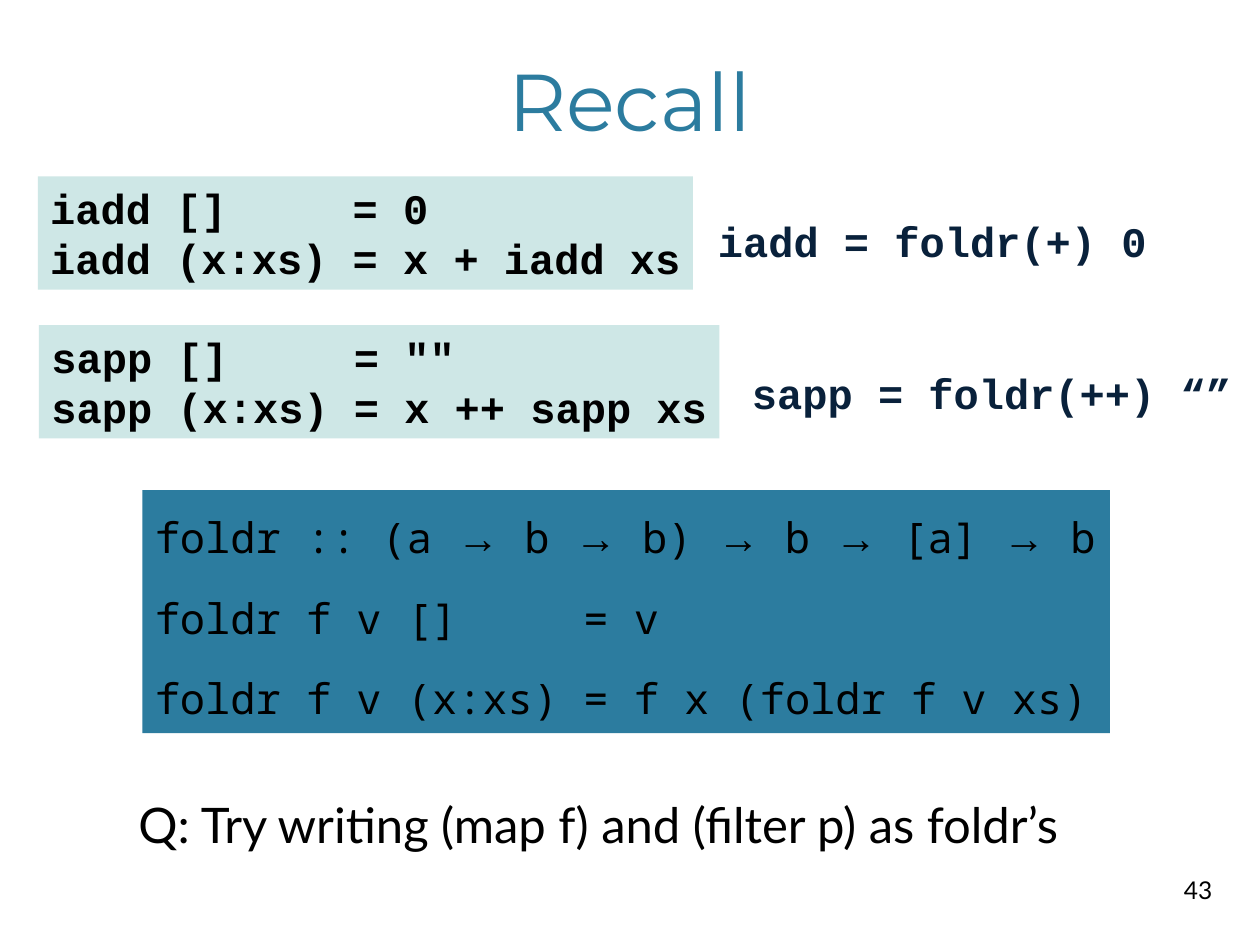
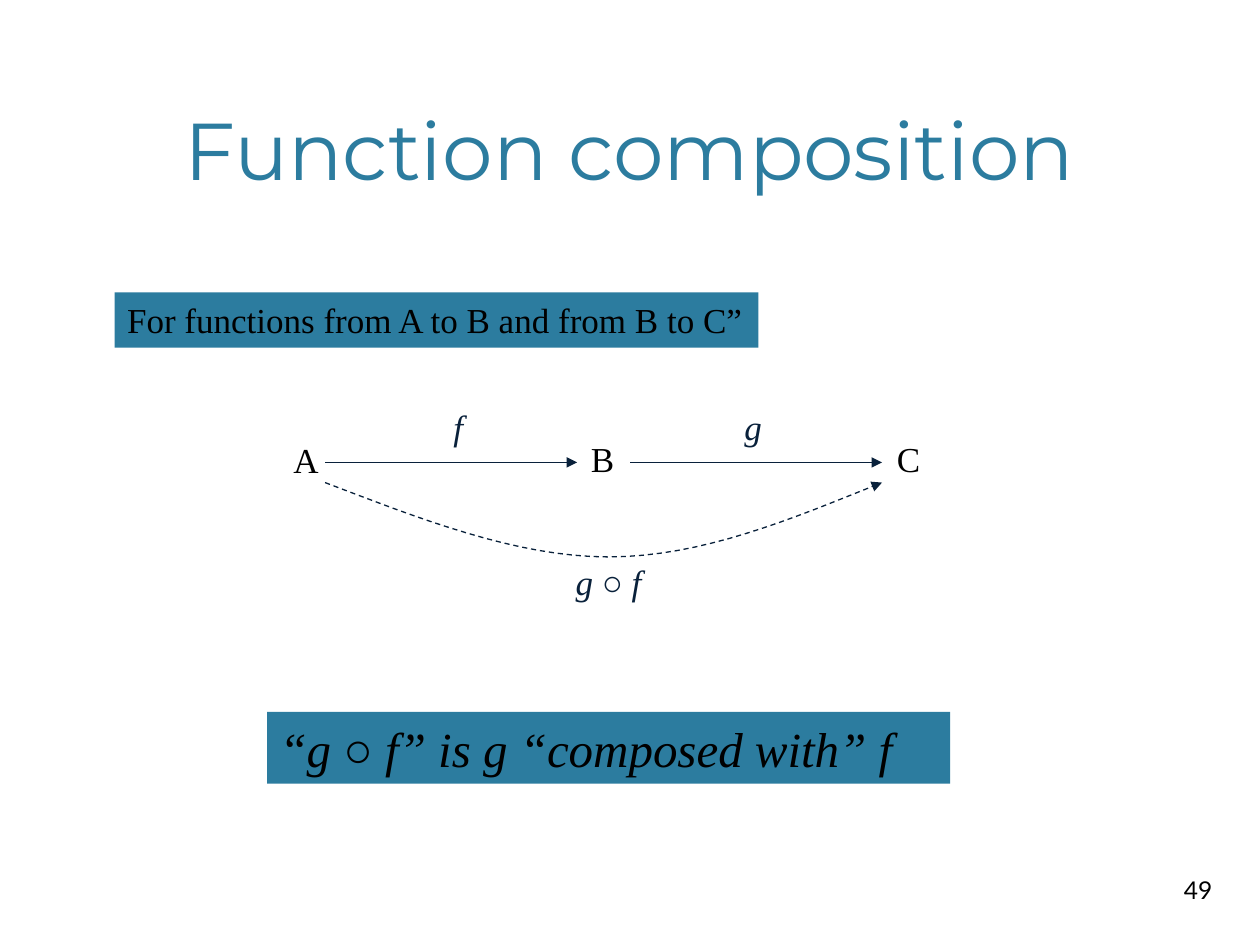
import pptx
import pptx.util
import pptx.dml.color
import pptx.enum.dml
import pptx.enum.shapes
import pptx.enum.text
import pptx.oxml.ns
import lxml.etree

Inches = pptx.util.Inches
RGBColor = pptx.dml.color.RGBColor
ANCHOR = pptx.enum.text.MSO_ANCHOR
ALIGN = pptx.enum.text.PP_ALIGN

# Shared colours and fonts
TEAL = RGBColor(0x2C, 0x7C, 0x9F)
MINT = RGBColor(0xCE, 0xE7, 0xE6)
NAVY = RGBColor(0x09, 0x21, 0x3B)
BLACK = RGBColor(0, 0, 0)
WHITE = RGBColor(255, 255, 255)
TITLE_FONT = "Montserrat"
BODY_FONT = "Lato"
CODE_FONT = "Courier New"
MONO_FONT = "Noto Sans Mono"
ARROW_FONT = "Arial"
MATH_FONT = "Times New Roman"


def add_text(s, at, lines, font, size, color=BLACK, fill=None, bold=False,
             italic=False, align=ALIGN.LEFT, anchor=ANCHOR.TOP, wrap=False,
             grow=True, bottom=0.05, spacing=None):
    """Text box, or a filled rectangle with text when a fill is given."""
    box = [Inches(v) for v in at]
    if fill is None:
        sp = s.shapes.add_textbox(*box)
    else:
        sp = s.shapes.add_shape(pptx.enum.shapes.MSO_SHAPE.RECTANGLE, *box)
        sp.shadow.inherit = False
        sp.fill.solid()
        sp.fill.fore_color.rgb = fill
        sp.line.fill.background()
    tf = sp.text_frame
    tf.word_wrap = wrap
    sizing = pptx.enum.text.MSO_AUTO_SIZE
    tf.auto_size = sizing.SHAPE_TO_FIT_TEXT if grow else sizing.NONE
    tf.vertical_anchor = anchor
    tf.margin_left = tf.margin_right = Inches(0.1)
    tf.margin_top, tf.margin_bottom = Inches(0.05), Inches(bottom)
    for i, line in enumerate(lines):
        p = tf.add_paragraph() if i else tf.paragraphs[0]
        p.alignment = align
        if spacing:
            p.line_spacing = spacing
        p.font.name, p.font.size = font, pptx.util.Pt(size)
        p.font.bold, p.font.italic = bold, italic
        p.font.color.rgb = color
        add_runs(p, line)


def add_runs(p, line):
    """Add a line of text, with its arrows in their own font."""
    for i, part in enumerate(line.split("→")):
        if i:
            r = p.add_run()
            r.text = "→"
            r.font.name = ARROW_FONT
        p.add_run().text = part


def add_frame(s, title, title_height, number):
    """Title and page number."""
    add_text(s, (0.6, 0.12, 8.79, title_height), [title], TITLE_FONT, 46, TEAL,
             align=ALIGN.CENTER, anchor=ANCHOR.BOTTOM, wrap=True, grow=False,
             bottom=0.02)
    add_text(s, (8.64, 6.86, 1.08, 0.4), [number], BODY_FONT, 14,
             align=ALIGN.RIGHT, anchor=ANCHOR.MIDDLE, wrap=True, grow=False)


def style_arrow(sp):
    """Thin navy line with a triangle at its end."""
    sp.line.color.rgb = NAVY
    sp.line.width = pptx.util.Pt(0.75)
    tail = lxml.etree.SubElement(sp.line._get_or_add_ln(),
                                 pptx.oxml.ns.qn("a:tailEnd"))
    tail.set("type", "triangle")


def add_arrow(s, x1, x2, y):
    sp = s.shapes.add_connector(pptx.enum.shapes.MSO_CONNECTOR.STRAIGHT,
                                Inches(x1), Inches(y), Inches(x2), Inches(y))
    style_arrow(sp)
    lxml.etree.SubElement(sp._element.spPr, pptx.oxml.ns.qn("a:effectLst"))


def bezier(points, steps=16):
    """Points along a cubic curve, without its start."""
    for k in range(1, steps + 1):
        t = k / steps
        u = 1 - t
        weights = (u ** 3, 3 * u * u * t, 3 * u * t * t, t ** 3)
        yield tuple(Inches(sum(w * pt[axis] for w, pt in zip(weights, points)))
                    for axis in (0, 1))


def add_curved_arrow(s, *curves):
    x, y = curves[0][0]
    fb = s.shapes.build_freeform(Inches(x), Inches(y))
    fb.add_line_segments([pt for c in curves for pt in bezier(c)], close=False)
    sp = fb.convert_to_shape()
    sp.shadow.inherit = False
    sp.fill.background()
    sp.line.dash_style = pptx.enum.dml.MSO_LINE.DASH
    style_arrow(sp)


def build_recall(s):
    add_frame(s, "Recall", 1.07, "43")

    # Definitions written with foldr
    for at, code in (((5.87, 2.87, 4, 0.5), "sapp = foldr(++) “”"),
                     ((5.6, 1.66, 3.6, 0.5), "iadd = foldr(+) 0")):
        add_text(s, at, [code], CODE_FONT, 24, NAVY, WHITE, bold=True)

    # Recursive definitions
    for at, code in (
            ((0.31, 2.58, 5.4, 0.9),
             ['sapp []     = ""', "sapp (x:xs) = x ++ sapp xs"]),
            ((0.3, 1.4, 5.2, 0.9),
             ["iadd []     = 0", "iadd (x:xs) = x + iadd xs"])):
        add_text(s, at, code, CODE_FONT, 24, fill=MINT, bold=True)

    # Definition of foldr, and the question
    add_text(s, (1.13, 3.89, 7.68, 1.93),
             ["foldr :: (a → b → b) → b → [a] → b",
              "foldr f v []     = v",
              "foldr f v (x:xs) = f x (foldr f v xs)"],
             MONO_FONT, 24, fill=TEAL, anchor=ANCHOR.MIDDLE, grow=False,
             bottom=0.2, spacing=1.6)
    add_text(s, (1, 6.26, 8.15, 0.57),
             ["Q: Try writing (map f) and (filter p) as foldr’s"],
             BODY_FONT, 28)


def build_composition(s):
    add_frame(s, "Function composition", 1.46, "49")

    # Sets A, B and C
    for name, x, y, w in (("A", 2.23, 3.43, 0.4), ("B", 4.59, 3.42, 0.38),
                          ("C", 7.02, 3.42, 0.38)):
        add_text(s, (x, y, w, 0.44), [name], MATH_FONT, 20)

    # Functions f and g, and their composition
    for x in (2.58, 5):
        add_arrow(s, x, x + 2, 3.67)
    add_curved_arrow(s,
                     ((2.58, 3.83), (3.34, 4.12), (4.1, 4.42), (4.83, 4.42)),
                     ((4.83, 4.42), (5.57, 4.42), (6.28, 4.12), (7, 3.83)))
    for name, x, y, w in (("f", 3.5, 3.17, 0.27), ("g", 5.81, 3.17, 0.34),
                          ("g ○ f", 4.47, 4.4, 0.86)):
        add_text(s, (x, y, w, 0.44), [name], MATH_FONT, 20, NAVY, italic=True,
                 wrap=len(name) > 1)

    # Statements
    add_text(s, (2.12, 5.65, 5.42, 0.57), ["“g ○ f” is g “composed with” f"],
             MATH_FONT, 28, fill=TEAL, italic=True, wrap=True)
    add_text(s, (0.91, 2.32, 5.11, 0.44),
             ["For functions from A to B and from B to C”"],
             MATH_FONT, 20, fill=TEAL)


def main():
    prs = pptx.Presentation()
    prs.slide_width, prs.slide_height = Inches(10), Inches(7.5)
    for build in (build_recall, build_composition):
        build(prs.slides.add_slide(prs.slide_layouts[6]))
    prs.save("out.pptx")


if __name__ == "__main__":
    main()
